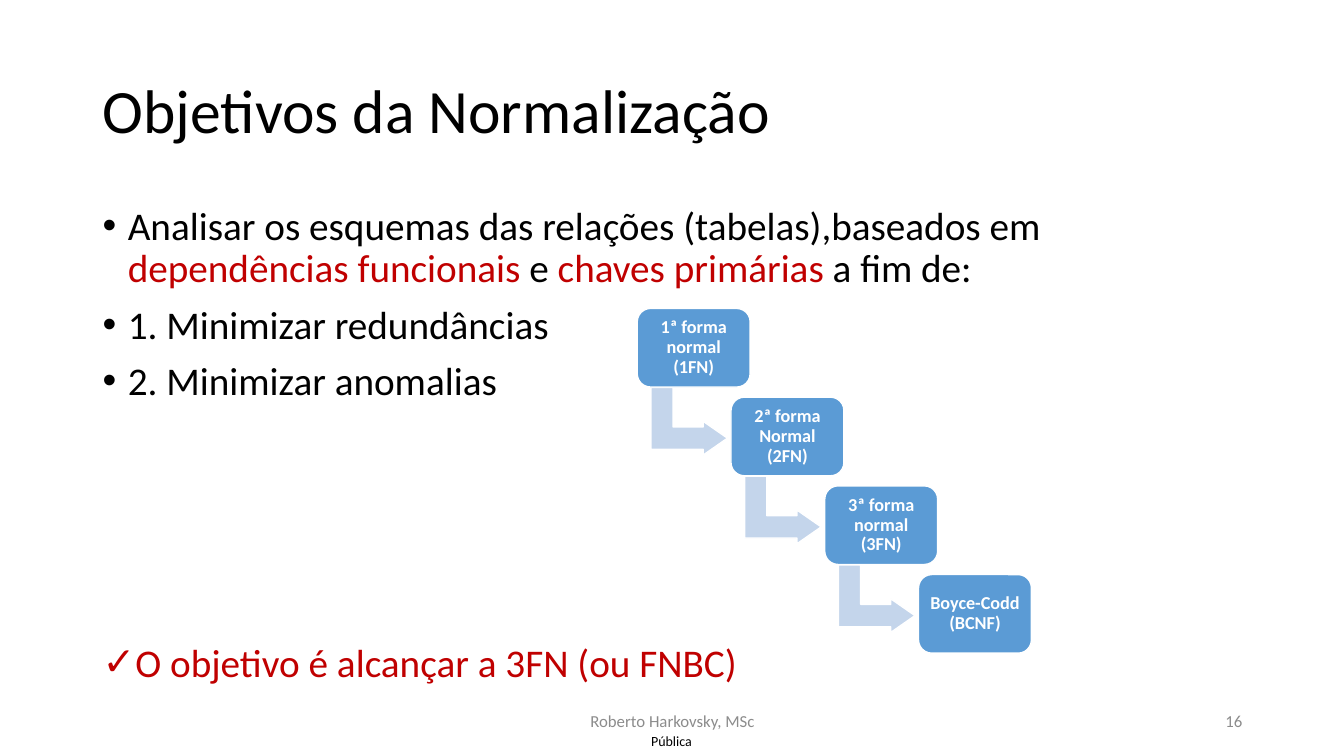
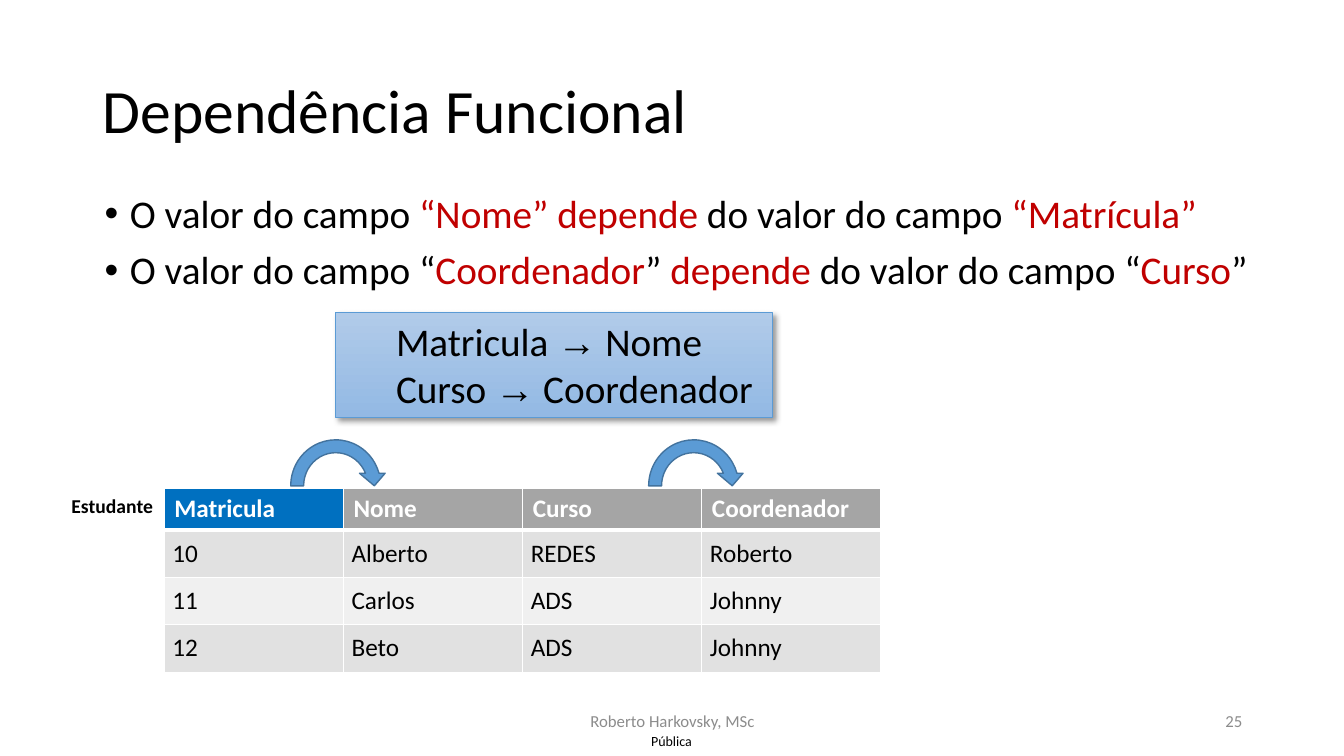
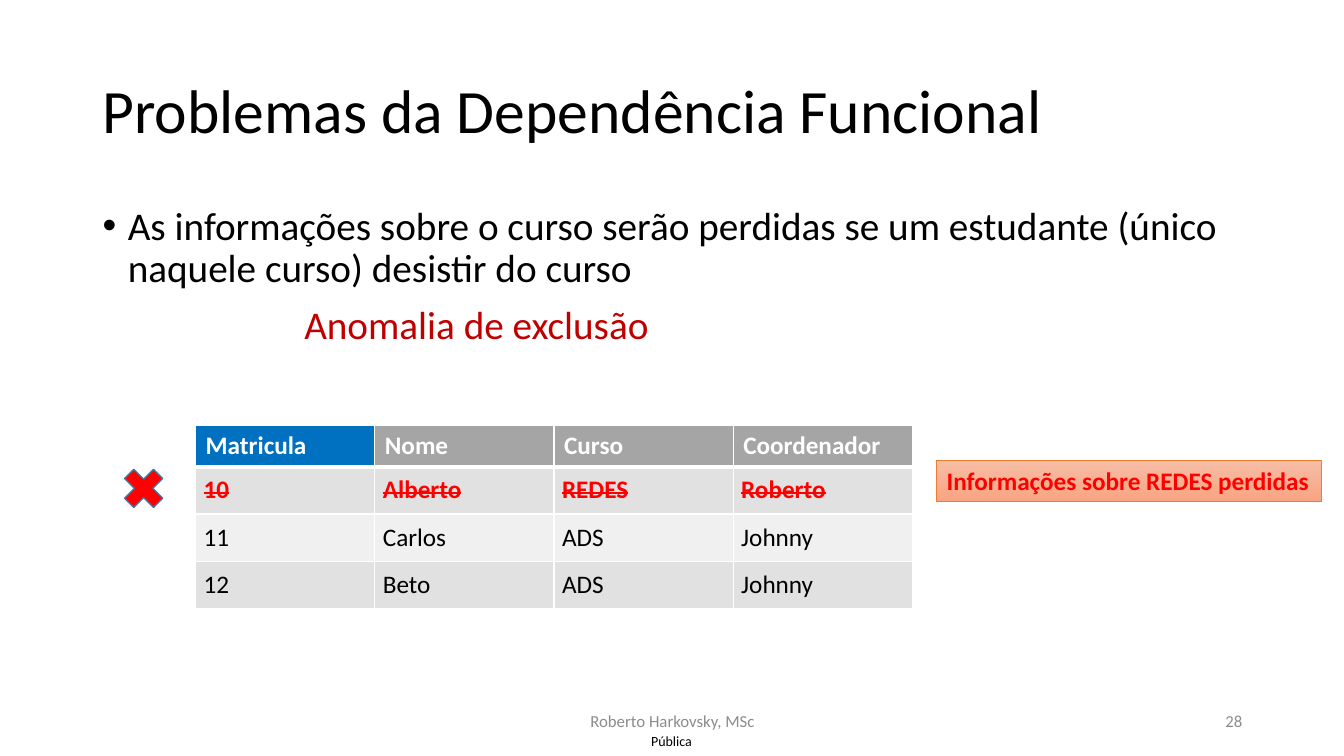
from dataclasses import dataclass

from lxml import etree
from pptx import Presentation
from pptx.dml.color import RGBColor
from pptx.enum.shapes import MSO_SHAPE
from pptx.enum.text import MSO_ANCHOR, PP_ALIGN
from pptx.oxml.ns import qn
from pptx.util import Inches, Pt

LEFT, CENTER, RIGHT = PP_ALIGN.LEFT, PP_ALIGN.CENTER, PP_ALIGN.RIGHT
TOP, MIDDLE = MSO_ANCHOR.TOP, MSO_ANCHOR.MIDDLE
RECT, ROUND_RECT = MSO_SHAPE.RECTANGLE, MSO_SHAPE.ROUNDED_RECTANGLE
BENT_ARROW, CURVED_ARROW = MSO_SHAPE.BENT_UP_ARROW, MSO_SHAPE.CIRCULAR_ARROW
CROSS = MSO_SHAPE.MATH_MULTIPLY


@dataclass(frozen=True)
class Theme:
    font: str = "Calibri"
    symbol_font: str = "Arial"
    text: str = "000000"
    white: str = "FFFFFF"
    accent: str = "C00000"
    alert: str = "FF0000"
    muted: str = "8C8C8C"
    blue: str = "5B9BD5"
    blue_line: str = "43739E"
    pale_blue: str = "C4D5EB"
    orange: str = "ED7D31"
    key_head: str = "0070C0"
    head: str = "A5A5A5"
    bands: tuple = ("E1E1E1", "F0F0F0")
    blue_gradient: tuple = ("B1CBE9", "93B9E4")
    orange_gradient: tuple = ("F7BDA5", "F8A582")
    title_size: int = 44
    body_size: int = 28
    table_size: int = 18
    label_size: int = 14
    step_size: int = 13
    footer_size: int = 12
    class_size: int = 10


T = Theme()

# Content: a paragraph is a list of runs; a run is text or (text, colour)
AUTHOR, CLASSIFICATION = "Roberto Harkovsky, MSc", "Pública"

GOALS = [
    dict(runs=["Analisar os esquemas das relações (tabelas),baseados em ",
               ("dependências funcionais ", T.accent), "e ",
               ("chaves primárias ", T.accent), "a fim de:"], bullet="•"),
    dict(runs=["1. Minimizar redundâncias"], bullet="•"),
    dict(runs=["2. Minimizar anomalias"], bullet="•"),
    dict(runs=[("O objetivo é alcançar a 3FN (ou FNBC)", T.accent)],
         bullet="✓", before=171),
]
STEPS = ["1ª forma normal (1FN)", "2ª forma Normal (2FN)",
         "3ª forma normal (3FN)", "Boyce-Codd (BCNF)"]

DEPENDENCIES = [
    dict(runs=["O valor do campo ", ("“Nome” depende", T.accent),
               " do valor do campo ", ("“Matrícula”", T.accent)], bullet="•"),
    dict(runs=["O valor do campo “", ("Coordenador", T.accent), "” ",
               ("depende", T.accent), " do valor do campo “",
               ("Curso", T.accent), "”"], bullet="•"),
]
RULES = [("Matricula ", " Nome"), ("Curso ", " Coordenador")]

PROBLEMS = [
    dict(runs=["As informações sobre o curso serão perdidas se um estudante "
               "(único naquele curso) desistir do curso"], bullet="•"),
    dict(runs=[("Anomalia de exclusão", T.accent)], indent=2),
]
STUDENTS = [
    ("Matricula", "Nome", "Curso", "Coordenador"),
    ("10", "Alberto", "REDES", "Roberto"),
    ("11", "Carlos", "ADS", "Johnny"),
    ("12", "Beto", "ADS", "Johnny"),
]


# Text and shape helpers
def rgb(value):
    return RGBColor.from_string(value)


def box(at):
    return [Inches(v) for v in at]


def add_run(p, text, size, color=T.text, bold=False, font=T.font):
    r = p.add_run()
    r.text = text
    r.font.name, r.font.size, r.font.bold = font, Pt(size), bold
    r.font.color.rgb = rgb(color)
    return r


def set_frame(tf, anchor=TOP, wrap=True, inset=None):
    tf.word_wrap, tf.vertical_anchor = wrap, anchor
    if inset is not None:
        tf.margin_left = tf.margin_right = Inches(inset)
        tf.margin_top = tf.margin_bottom = Inches(inset)


def set_indent(p, left, first=0):
    pPr = p._p.get_or_add_pPr()
    pPr.set("marL", str(Inches(left)))
    pPr.set("indent", str(Inches(first)))
    return pPr


def add_label(slide, at, text, size, color=T.text, align=LEFT, anchor=MIDDLE,
              bold=False, wrap=True, inset=None, spacing=None):
    tf = slide.shapes.add_textbox(*box(at)).text_frame
    set_frame(tf, anchor, wrap, inset)
    p = tf.paragraphs[0]
    p.alignment, p.line_spacing = align, spacing
    add_run(p, text, size, color, bold)


def add_body(slide, at, paragraphs):
    tf = slide.shapes.add_textbox(*box(at)).text_frame
    set_frame(tf)
    for i, item in enumerate(paragraphs):
        p = tf.add_paragraph() if i else tf.paragraphs[0]
        if "bullet" in item:
            pPr = set_indent(p, 0.25, -0.25)
            etree.SubElement(pPr, qn("a:buFont"), typeface=T.symbol_font)
            etree.SubElement(pPr, qn("a:buChar"), char=item["bullet"])
        else:
            set_indent(p, item["indent"])
        p.line_spacing = 0.9
        if i:
            p.space_before = Pt(item.get("before", 10))
        for run in item["runs"]:
            text, color = (run, T.text) if isinstance(run, str) else run
            add_run(p, text, T.body_size, color)


def add_shape(slide, kind, at, fill, line, width=1.0, adjust=()):
    sp = slide.shapes.add_shape(kind, *box(at))
    sp.shadow.inherit = False
    if isinstance(fill, tuple):
        sp.fill.gradient()
        sp.fill.gradient_angle = 270
        for stop, color in zip(sp.fill.gradient_stops, fill):
            stop.color.rgb = rgb(color)
    else:
        sp.fill.solid()
        sp.fill.fore_color.rgb = rgb(fill)
    sp.line.color.rgb, sp.line.width = rgb(line), Pt(width)
    for i, value in enumerate(adjust):
        sp.adjustments[i] = value
    return sp


def add_drop_shadow(sp):
    effects = sp._element.spPr.find(qn("a:effectLst"))
    shadow = etree.SubElement(effects, qn("a:outerShdw"), blurRad=str(Pt(4)),
                              dist=str(Pt(3)), dir="2700000", rotWithShape="0")
    color = etree.SubElement(shadow, qn("a:srgbClr"), val=T.text)
    etree.SubElement(color, qn("a:alpha"), val="40000")


# Student table, shared by two slides
def set_borders(cell, top, bottom):
    tcPr = cell._tc.get_or_add_tcPr()
    for side, width in (("L", 1), ("R", 1), ("T", top), ("B", bottom)):
        ln = etree.SubElement(tcPr, qn("a:ln" + side), w=str(Pt(width)))
        fill = etree.SubElement(ln, qn("a:solidFill"))
        etree.SubElement(fill, qn("a:srgbClr"), val=T.white)


def add_students(slide, left, top, struck_row=None):
    rows, cols = len(STUDENTS), len(STUDENTS[0])
    heights = [0.41] + [0.47] * (rows - 1)
    table = slide.shapes.add_table(
        rows, cols, *box((left, top, 7.11, sum(heights)))).table
    table.horz_banding = False
    for row, height in zip(table.rows, heights):
        row.height = Inches(height)
    for i, values in enumerate(STUDENTS):
        for j, value in enumerate(values):
            cell = table.cell(i, j)
            set_borders(cell, 3 if i == 1 else 1, 3 if i == 0 else 1)
            if i == 0:
                fill, color = (T.head if j else T.key_head), T.white
            else:
                fill = T.bands[(i - 1) % 2]
                color = T.alert if i == struck_row else T.text
                cell.margin_left = cell.margin_right = Inches(0.08)
                cell.margin_top = cell.margin_bottom = Inches(0.08)
            cell.fill.solid()
            cell.fill.fore_color.rgb = rgb(fill)
            r = add_run(cell.text_frame.paragraphs[0], value, T.table_size,
                        color, bold=i in (0, struck_row))
            if i == struck_row:
                r.font._element.set("strike", "sngStrike")


# Title and footers, shared by every slide
def new_slide(prs, title, number):
    slide = prs.slides.add_slide(prs.slide_layouts[6])
    add_label(slide, (6.31, 7.21, 0.7, 0.29), CLASSIFICATION, T.class_size,
              align=CENTER, inset=0)
    add_label(slide, (0.92, 0.4, 11.5, 1.45), title, T.title_size, spacing=0.9)
    add_label(slide, (4.42, 6.95, 4.5, 0.4), AUTHOR, T.footer_size, T.muted,
              CENTER)
    add_label(slide, (9.42, 6.95, 3, 0.4), str(number), T.footer_size, T.muted,
              RIGHT)
    return slide


def build_goals(prs):
    slide = new_slide(prs, "Objetivos da Normalização", 16)
    add_body(slide, (0.92, 2, 11.5, 5.35), GOALS)
    # Staircase of normal forms
    for i, step in enumerate(STEPS):
        x, y = 6.32 + 0.93 * i, 3.06 + 0.88 * i
        if i < len(STEPS) - 1:
            arrow = add_shape(slide, BENT_ARROW, (x + 0.18, y + 0.74, 0.67, 0.76),
                              T.pale_blue, T.white, adjust=(0.33, 0.25, 0.36))
            arrow.rotation = 90
        sp = add_shape(slide, ROUND_RECT, (x, y, 1.12, 0.78), T.blue, T.white,
                       adjust=(0.17,))
        set_frame(sp.text_frame, MIDDLE, inset=0.05)
        p = sp.text_frame.paragraphs[0]
        p.alignment, p.line_spacing = CENTER, 0.9
        add_run(p, step, T.step_size, T.white, bold=True)


def build_dependency(prs):
    slide = new_slide(prs, "Dependência Funcional", 25)
    add_body(slide, (0.94, 1.88, 11.89, 4.76), DEPENDENCIES)
    add_students(slide, 1.63, 4.85)
    add_label(slide, (0.61, 4.85, 1.02, 0.34), "Estudante", T.label_size,
              anchor=TOP, bold=True, wrap=False)
    # Dependency rules
    sp = add_shape(slide, RECT, (3.33, 3.1, 4.33, 1.04), T.blue_gradient,
                   T.blue, 0.5)
    add_drop_shadow(sp)
    tf = sp.text_frame
    set_frame(tf)
    for i, (source, target) in enumerate(RULES):
        p = tf.add_paragraph() if i else tf.paragraphs[0]
        p.alignment = LEFT
        set_indent(p, 0.5)
        add_run(p, source, T.body_size)
        add_run(p, "→", T.body_size, font=T.symbol_font)
        add_run(p, target, T.body_size)
    # Arrows from determinant to dependent column
    for x in (2.82, 6.37):
        add_shape(slide, CURVED_ARROW, (x, 4.3, 1.02, 1.04), T.blue, T.blue_line)


def build_problems(prs):
    slide = new_slide(prs, "Problemas da Dependência Funcional", 28)
    add_body(slide, (0.92, 2, 11.5, 4.76), PROBLEMS)
    add_students(slide, 1.94, 4.22, struck_row=1)
    add_shape(slide, CROSS, (1.15, 4.57, 0.55, 0.55), T.alert, T.blue_line)
    # Lost-data warning
    sp = add_shape(slide, RECT, (9.29, 4.57, 3.82, 0.4), T.orange_gradient,
                   T.orange, 0.5)
    set_frame(sp.text_frame, wrap=False)
    p = sp.text_frame.paragraphs[0]
    p.alignment = LEFT
    add_run(p, "Informações sobre REDES perdidas", T.table_size, T.alert,
            bold=True)


def main():
    prs = Presentation()
    prs.slide_width, prs.slide_height = Inches(13.33), Inches(7.5)
    for build in (build_goals, build_dependency, build_problems):
        build(prs)
    prs.save("out.pptx")


if __name__ == "__main__":
    main()
